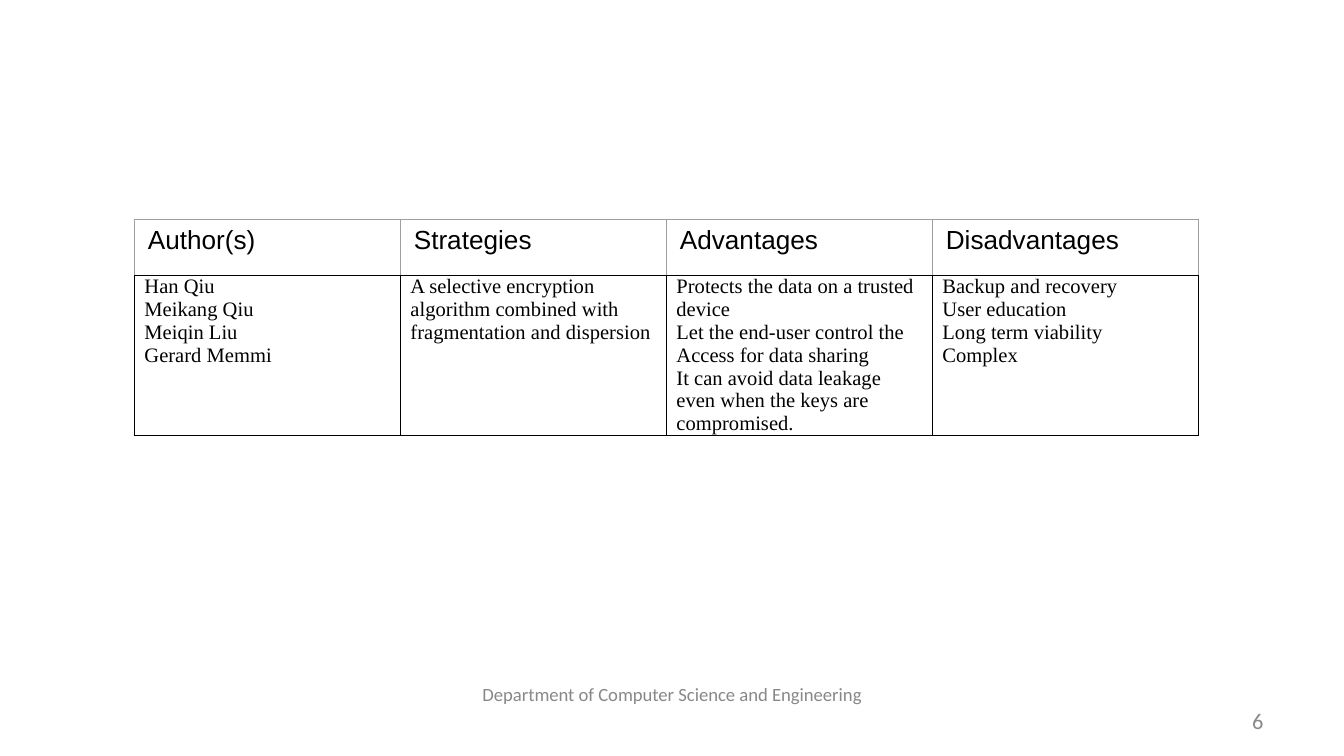
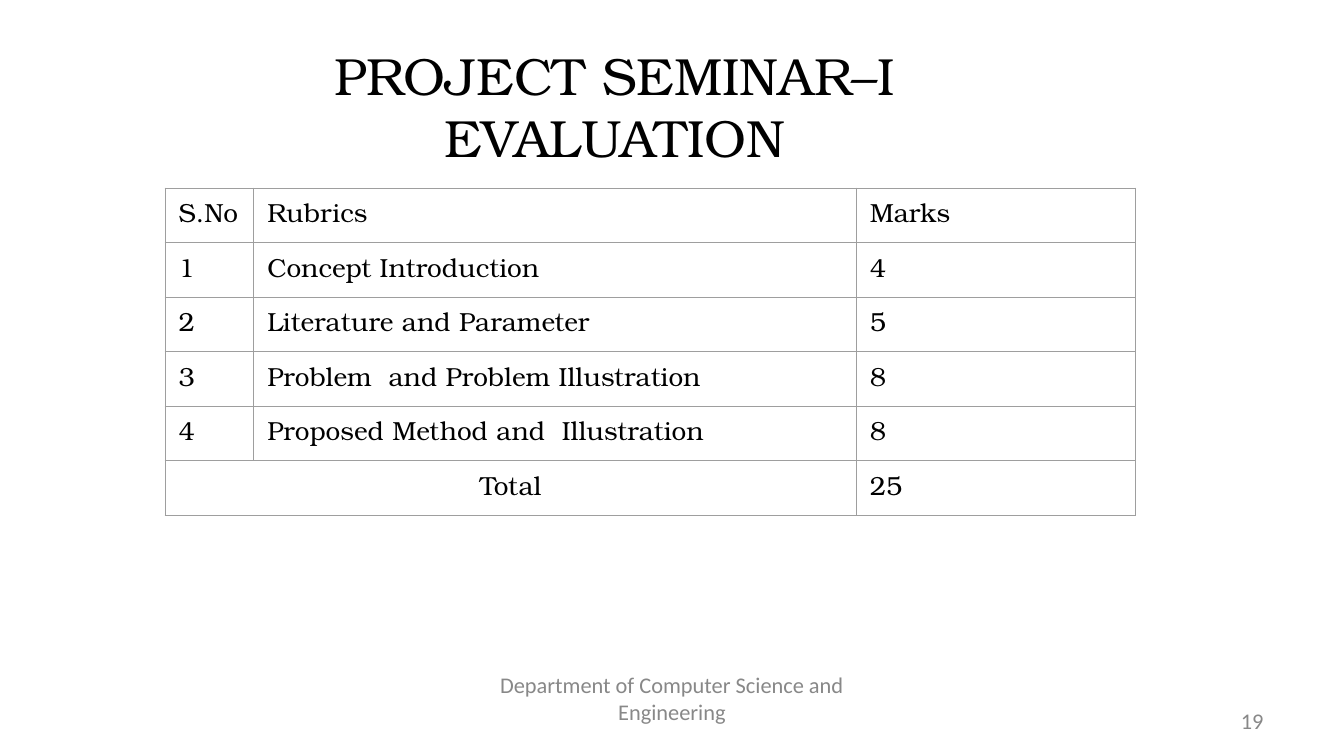
from pptx import Presentation
from pptx.dml.color import RGBColor
from pptx.enum.text import MSO_ANCHOR, MSO_AUTO_SIZE, PP_ALIGN
from pptx.oxml.ns import qn
from pptx.util import Pt
from lxml.etree import SubElement

DEPT = "Department of Computer Science and Engineering"
TITLE = "PROJECT SEMINAR–I EVALUATION"
PAPERS = [
    ["Author(s)", "Strategies", "Advantages", "Disadvantages"],
    [
        "Han Qiu\nMeikang Qiu\nMeiqin Liu\nGerard Memmi",
        "A selective encryption algorithm combined with fragmentation and dispersion",
        "Protects the data on a trusted device\n"
        "Let the end-user control the Access for data sharing\n"
        "It can avoid data leakage even when the keys are compromised.",
        "Backup and recovery\nUser education\nLong term viability\nComplex",
    ],
]
MARKS = [
    ["S.No", "Rubrics", "Marks"],
    ["1", "Concept Introduction", "4"],
    ["2", "Literature and Parameter", "5"],
    ["3", "Problem  and Problem Illustration", "8"],
    ["4", "Proposed Method and  Illustration", "8"],
    ["Total", "", "25"],
]

BLACK, GREY, RULE = "000000", "888888", "9E9E9E"
SANS, SERIF, BOOK, SMALL = "Arial", "Times New Roman", "TeX Gyre Bonum", "Calibri"
PAD = (7.2, 3.6)
THIN, HAIR = (RULE, 0.75), (BLACK, 0.5)


def paint(hue):
    return RGBColor.from_string(hue)


def style(frame, font, size, hue, align):
    for para in frame.paragraphs:
        para.alignment = align
        para.font.name = font
        para.font.size = Pt(size)
        para.font.bold = False
        para.font.color.rgb = paint(hue)


def inset(item, pad):
    item.margin_left = item.margin_right = Pt(pad[0])
    item.margin_top = item.margin_bottom = Pt(pad[1])


def label(slide, text, spot, font, size, hue, align=PP_ALIGN.CENTER,
          anchor=MSO_ANCHOR.MIDDLE, pad=PAD, grow=False):
    frame = slide.shapes.add_textbox(*map(Pt, spot)).text_frame
    frame.word_wrap = True
    frame.auto_size = MSO_AUTO_SIZE.SHAPE_TO_FIT_TEXT if grow else MSO_AUTO_SIZE.NONE
    frame.vertical_anchor = anchor
    inset(frame, pad)
    frame.text = text
    style(frame, font, size, hue, align)


def border(cell, sides):
    props = cell._tc.get_or_add_tcPr()
    for side, (hue, width) in zip("LRTB", sides):
        line = SubElement(props, qn(f"a:ln{side}"), w=str(Pt(width)))
        fill = SubElement(line, qn("a:solidFill"))
        SubElement(fill, qn("a:srgbClr"), val=hue)


def fill_cell(cell, text, font, size, pad=PAD, sides=(THIN,) * 4):
    cell.text = text
    inset(cell, pad)
    border(cell, sides)
    cell.fill.background()
    style(cell.text_frame, font, size, BLACK, PP_ALIGN.LEFT)


def grid(slide, data, left, top, widths, height):
    spot = (left, top, sum(widths), height * len(data))
    table = slide.shapes.add_table(len(data), len(widths), *map(Pt, spot)).table
    table.first_row = table.horz_banding = False
    for col, width in zip(table.columns, widths):
        col.width = Pt(width)
    for row in table.rows:
        row.height = Pt(height)
    return table


def number(slide, page):
    label(slide, page, (516.2, 375.1, 167.8, 21.6), SMALL, 12, GREY, PP_ALIGN.RIGHT)


def survey(slide):
    number(slide, "6")
    table = grid(slide, PAPERS, 72, 117.5, [142.5] * 4, 30)
    for c, (head, body) in enumerate(zip(*PAPERS)):
        fill_cell(table.cell(0, c), head, SANS, 14, sides=(THIN, THIN, THIN, HAIR))
        fill_cell(table.cell(1, c), body, SERIF, 11, (5.4, 0), (HAIR,) * 4)
    label(slide, DEPT, (242, 360, 236, 26.6), SMALL, 10, GREY,
          anchor=MSO_ANCHOR.TOP, pad=(7.2, 7.2), grow=True)


def rubric(slide):
    number(slide, "19")
    label(slide, TITLE, (88.5, 31.7, 481.7, 49.7), BOOK, 28, BLACK)
    table = grid(slide, MARKS, 88.5, 100.8, [47.5, 322.8, 149.6], 29.2)
    for r, row in enumerate(MARKS):
        for c, text in enumerate(row):
            fill_cell(table.cell(r, c), text, BOOK, 14)
    last = len(MARKS) - 1
    total = table.cell(last, 0)
    total.merge(table.cell(last, 1))
    total.text_frame.paragraphs[0].alignment = PP_ALIGN.CENTER
    label(slide, DEPT, (246, 363, 228, 21.6), SMALL, 12, GREY)


def main():
    deck = Presentation()
    deck.slide_width, deck.slide_height = Pt(720), Pt(405)
    for build in (survey, rubric):
        build(deck.slides.add_slide(deck.slide_layouts[6]))
    deck.save("out.pptx")


if __name__ == "__main__":
    main()
